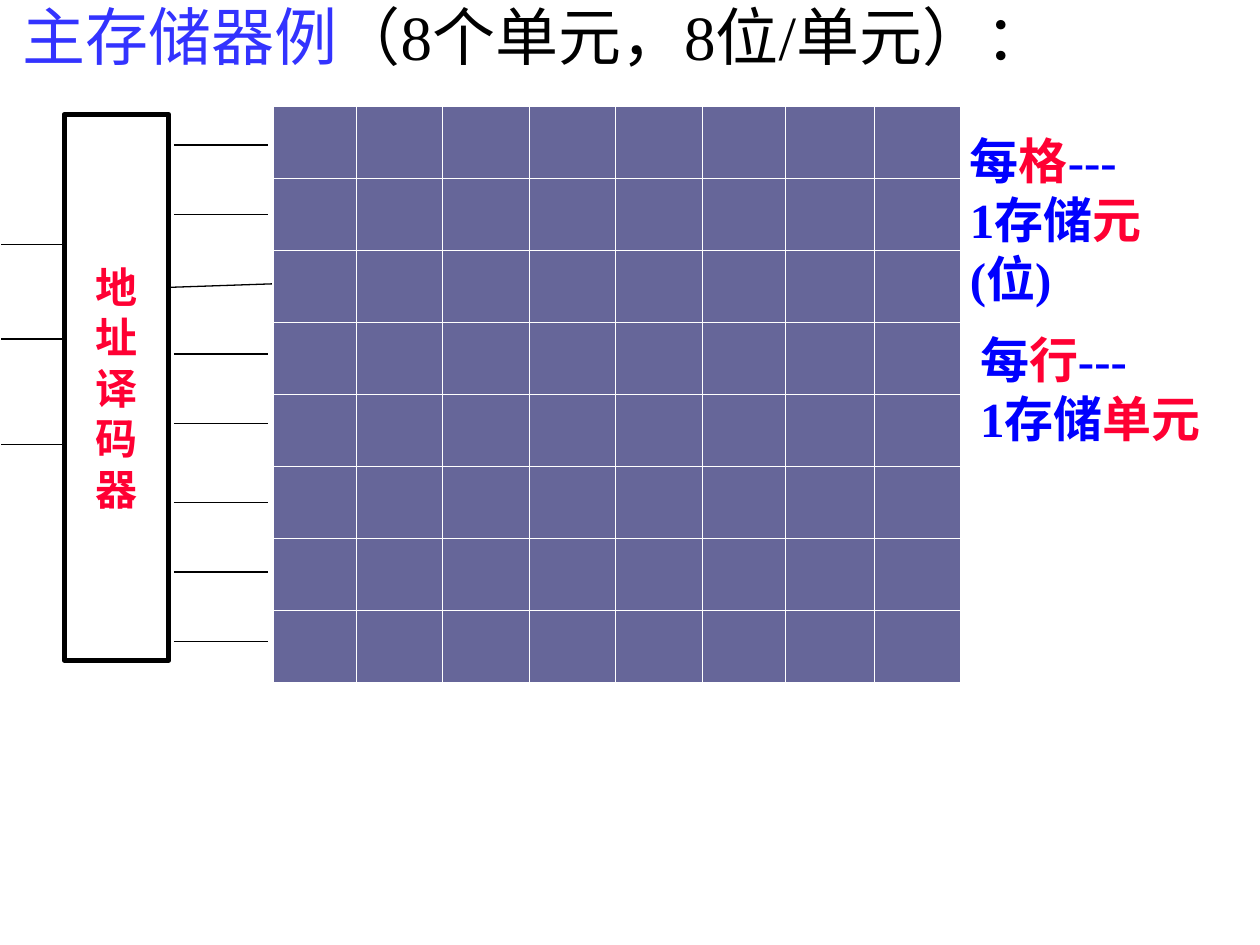
import pptx
import pptx.enum.shapes
import pptx.enum.text
import pptx.oxml
import pptx.oxml.ns
import pptx.util
from lxml import etree

Pt = pptx.util.Pt
FONT = "Times New Roman"
COLORS = {
    "title": "3333FF", "black": "000000", "white": "FFFFFF",
    "red": "FF0033", "blue": "0000FF", "cell": "666699",
}

# Each paragraph is a list of (text, colour) runs.
TITLE = [[("主存储器例", "title"), ("（8个单元，8位/单元）：", "black")]]
DECODER = [[(character, "red")] for character in "地址译码器"]
CELL_NOTE = [
    [("每", "blue"), ("格", "red"), ("---", "blue")],
    [("1存储", "blue"), ("元", "red"), ("(位)", "blue")],
]
ROW_NOTE = [
    [("每", "blue"), ("行", "red"), ("---", "blue")],
    [("1存储", "blue"), ("单元", "red")],
]

# (left, top, width, height), paragraphs, font format
TEXT_BOXES = [
    ((5.8, 0, 666, 49), TITLE, {"size": Pt(36), "bold": False}),
    ((547.2, 71.3, 153.4, 108), CELL_NOTE, {"size": Pt(28), "bold": True}),
    ((553, 185, 167, 74.9), ROW_NOTE, {"size": Pt(28), "bold": True}),
]
DECODER_BOX = (36.7, 65.5, 59.8, 311.8)
DECODER_FORMAT = {"size": Pt(24), "bold": True}

ADDRESS_LINES = [139.7, 193.7, 254.2]
WORD_LINES = [82.8, 122.4, 202.3, 241.9, 287.3, 326.9, 366.5]
LINES = (
    [(0.7, y, DECODER_BOX[0], y) for y in ADDRESS_LINES]
    + [(99.4, y, 153.4, y) for y in WORD_LINES]
    + [(97.2, 164.2, 155.5, 162.2)]
)

GRID_LEFT, GRID_TOP = 155.9, 60.5
COLUMN_WIDTHS = [47.5, 49.5, 49.5, 49.5, 49.5, 47.5, 51, 49.5]
ROW_COUNT, ROW_HEIGHT = 8, 41.22
INNER_BORDER, OUTER_BORDER = 0.45, 1.08


def rgb(name):
    return pptx.dml.color.RGBColor.from_string(COLORS[name])


def write_text(frame, paragraphs, font_format):
    for index, runs in enumerate(paragraphs):
        paragraph = frame.paragraphs[0] if index == 0 else frame.add_paragraph()
        for text, color in runs:
            run = paragraph.add_run()
            run.text = text
            run.font.name = FONT
            run.font.color.rgb = rgb(color)
            for attribute, value in font_format.items():
                setattr(run.font, attribute, value)


def add_text_box(slide, box, paragraphs, font_format):
    frame = slide.shapes.add_textbox(*map(Pt, box)).text_frame
    frame.word_wrap = True
    write_text(frame, paragraphs, font_format)
    return frame


def add_decoder(slide):
    shape = slide.shapes.add_shape(
        pptx.enum.shapes.MSO_SHAPE.RECTANGLE, *map(Pt, DECODER_BOX))
    shape.shadow.inherit = False
    shape.fill.solid()
    shape.fill.fore_color.rgb = rgb("white")
    shape.line.color.rgb = rgb("black")
    shape.line.width = Pt(3)
    frame = shape.text_frame
    frame.word_wrap = False
    frame.vertical_anchor = pptx.enum.text.MSO_ANCHOR.MIDDLE
    write_text(frame, DECODER, DECODER_FORMAT)
    for paragraph in frame.paragraphs:
        paragraph.alignment = pptx.enum.text.PP_ALIGN.CENTER


def add_line(slide, ends):
    line = slide.shapes.add_connector(
        pptx.enum.shapes.MSO_CONNECTOR.STRAIGHT, *map(Pt, ends))
    line.line.color.rgb = rgb("black")
    line.line.width = Pt(0.75)
    etree.SubElement(line._element.spPr, pptx.oxml.ns.qn("a:effectLst"))


def set_border(cell, side, width):
    properties = cell._tc.get_or_add_tcPr()
    border = pptx.oxml.parse_xml(
        f'<a:{side} {pptx.oxml.ns.nsdecls("a")} w="{Pt(width)}"><a:solidFill>'
        f'<a:srgbClr val="{COLORS["white"]}"/></a:solidFill></a:{side}>')
    properties.append(border)


def add_memory_grid(slide):
    column_count = len(COLUMN_WIDTHS)
    table = slide.shapes.add_table(
        ROW_COUNT, column_count, Pt(GRID_LEFT), Pt(GRID_TOP),
        Pt(sum(COLUMN_WIDTHS)), Pt(ROW_COUNT * ROW_HEIGHT)).table
    for column, width in zip(table.columns, COLUMN_WIDTHS):
        column.width = Pt(width)
    for row in table.rows:
        row.height = Pt(ROW_HEIGHT)
    for row in range(ROW_COUNT):
        for column in range(column_count):
            cell = table.cell(row, column)
            on_edge = {
                "lnL": column == 0, "lnR": column == column_count - 1,
                "lnT": row == 0, "lnB": row == ROW_COUNT - 1,
            }
            for side, outer in on_edge.items():
                set_border(cell, side, OUTER_BORDER if outer else INNER_BORDER)
            cell.fill.solid()
            cell.fill.fore_color.rgb = rgb("cell")


def main():
    presentation = pptx.Presentation()
    presentation.slide_width, presentation.slide_height = Pt(720), Pt(540)
    slide = presentation.slides.add_slide(presentation.slide_layouts[6])
    title, *notes = TEXT_BOXES
    add_text_box(slide, *title).paragraphs[0].line_spacing = 0.9
    add_decoder(slide)
    for ends in LINES:
        add_line(slide, ends)
    add_memory_grid(slide)
    for note in notes:
        add_text_box(slide, *note)
    presentation.save("out.pptx")


if __name__ == "__main__":
    main()
